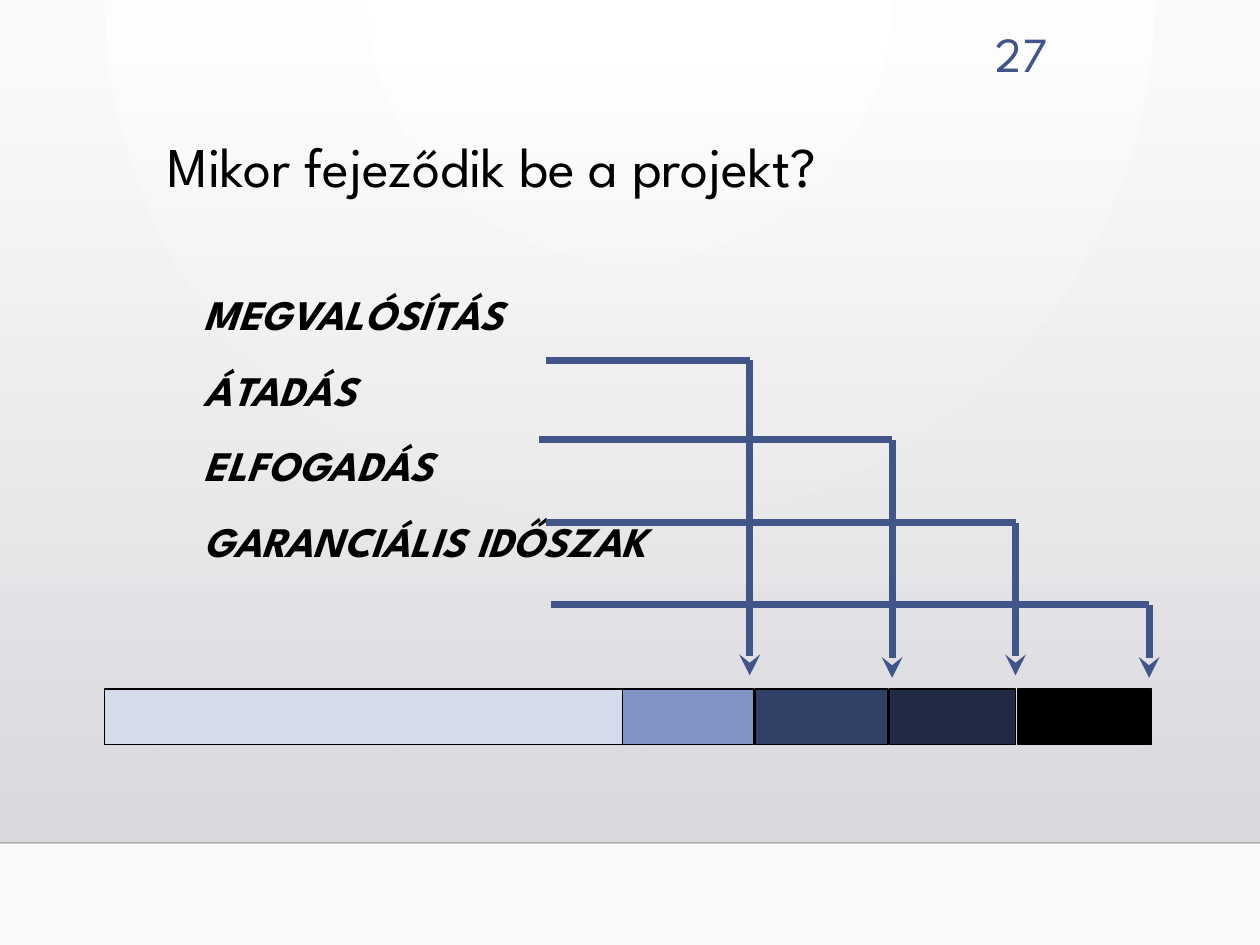
from dataclasses import dataclass

from lxml import etree
from pptx import Presentation
from pptx.dml.color import RGBColor
from pptx.enum.shapes import MSO_CONNECTOR, MSO_SHAPE
from pptx.enum.text import MSO_ANCHOR, PP_ALIGN
from pptx.oxml import parse_xml
from pptx.oxml.ns import nsdecls, qn
from pptx.util import Inches, Pt


@dataclass(frozen=True)
class Theme:
    font: str = "League Spartan"
    ink: RGBColor = RGBColor(0, 0, 0)
    accent: RGBColor = RGBColor(0x41, 0x55, 0x88)
    glow: tuple = ("FFFFFF", "FAFAFA")
    shade: tuple = ("DEDEE2", "D9D9DE")
    phases: tuple = ("D5DBEB", "8294C3", "314066", "202A44", "000000")
    title_size: Pt = Pt(32)
    number_size: Pt = Pt(28)
    step_size: Pt = Pt(24)


theme = Theme()


def style(paragraph, size, color):
    paragraph.font.name = theme.font
    paragraph.font.size = size
    paragraph.font.color.rgb = color


def add_line(start, end, color, width):
    """Draw a straight line between two points given in inches."""
    line = slide.shapes.add_connector(
        MSO_CONNECTOR.STRAIGHT, *(Inches(v) for v in (*start, *end)))
    line.line.color.rgb = color
    line.line.width = Pt(width)
    etree.SubElement(line._element.spPr, qn("a:effectLst"))
    return line


prs = Presentation()
prs.slide_width, prs.slide_height = Inches(10), Inches(7.5)
slide = prs.slides.add_slide(prs.slide_layouts[5])

# Background: a round glow from the top centre
glow = slide.background.fill
glow.gradient()
for stop, color in zip(glow.gradient_stops, theme.glow):
    stop.color.rgb = RGBColor.from_string(color)
grad = slide.background._cSld.find(".//" + qn("a:gradFill"))
grad.replace(grad.find(qn("a:lin")), parse_xml(
    f'<a:path {nsdecls("a")} path="circle">'
    '<a:fillToRect l="43000" t="0" r="43000" b="100000"/></a:path>'))

# Shade that grows denser towards the floor line
shade = slide.shapes.add_shape(
    MSO_SHAPE.RECTANGLE, 0, Inches(0.51), Inches(10), Inches(6.18))
shade.shadow.inherit = False
shade.line.fill.background()
shade.fill.gradient()
shade.fill.gradient_angle = 270
for stop, color in zip(shade.fill.gradient_stops, theme.shade):
    stop.color.rgb = RGBColor.from_string(color)
clear_stop = shade._element.spPr.find(".//" + qn("a:srgbClr"))
etree.SubElement(clear_stop, qn("a:alpha"), val="0")

floor = add_line((0, 6.69), (10, 6.69), theme.ink, 1)
floor_color = floor._element.spPr.find(".//" + qn("a:srgbClr"))
etree.SubElement(floor_color, qn("a:alpha"), val="20000")

# Slide number and title
number = slide.shapes.add_textbox(
    Inches(7.54), Inches(0.14), Inches(0.87), Inches(0.55)).text_frame
number.word_wrap = True
number.text = "27"
number.paragraphs[0].alignment = PP_ALIGN.RIGHT
style(number.paragraphs[0], theme.number_size, theme.accent)

title = slide.shapes.title
title.left, title.top = Inches(1.23), Inches(1.05)
title.width, title.height = Inches(7.19), Inches(1.15)
title.text_frame.text = "Mikor fejeződik be a projekt?"
title.text_frame.vertical_anchor = MSO_ANCHOR.TOP
heading = title.text_frame.paragraphs[0]
heading.alignment = PP_ALIGN.LEFT
heading.line_spacing = 0.9
style(heading, theme.title_size, theme.ink)
slide.shapes._spTree.append(title._element)  # in front of the shade

# Project timeline: left edge and width of each phase
phase_spans = [(0.83, 4.13), (4.94, 1.04), (5.99, 1.06), (7.06, 1), (8.08, 1.06)]
for (left, width), color in zip(phase_spans, theme.phases):
    phase = slide.shapes.add_shape(
        MSO_SHAPE.RECTANGLE, Inches(left), Inches(5.47), Inches(width), Inches(0.44))
    phase.shadow.inherit = False
    phase.fill.solid()
    phase.fill.fore_color.rgb = RGBColor.from_string(color)
    phase.line.color.rgb = theme.ink
    phase.line.width = Pt(1)

# Possible ends of the project
steps = slide.shapes.add_textbox(
    Inches(1.52), Inches(2.24), Inches(6.72), Inches(3.06)).text_frame
steps.word_wrap = True
steps.text = "MEGVALÓSÍTÁS\nÁTADÁS\nELFOGADÁS\nGARANCIÁLIS IDŐSZAK"
for step in steps.paragraphs:
    step.space_before, step.space_after = Pt(12), Pt(2.4)
    step.font.bold = step.font.italic = True
    style(step, theme.step_size, theme.ink)

# Each step points to its end on the timeline: start, corner, level, tip
pointers = [
    (4.37, 9.12, 4.8, 5.38),
    (4.33, 8.06, 4.15, 5.36),
    (4.28, 7.08, 3.49, 5.38),
    (4.33, 5.95, 2.86, 5.36),
]
for start, corner, level, tip in pointers:
    add_line((start, level), (corner, level), theme.accent, 4)
    arrow = add_line((corner, level), (corner, tip), theme.accent, 4)
    etree.SubElement(arrow.line._get_or_add_ln(), qn("a:tailEnd"), type="stealth")

prs.save("out.pptx")
